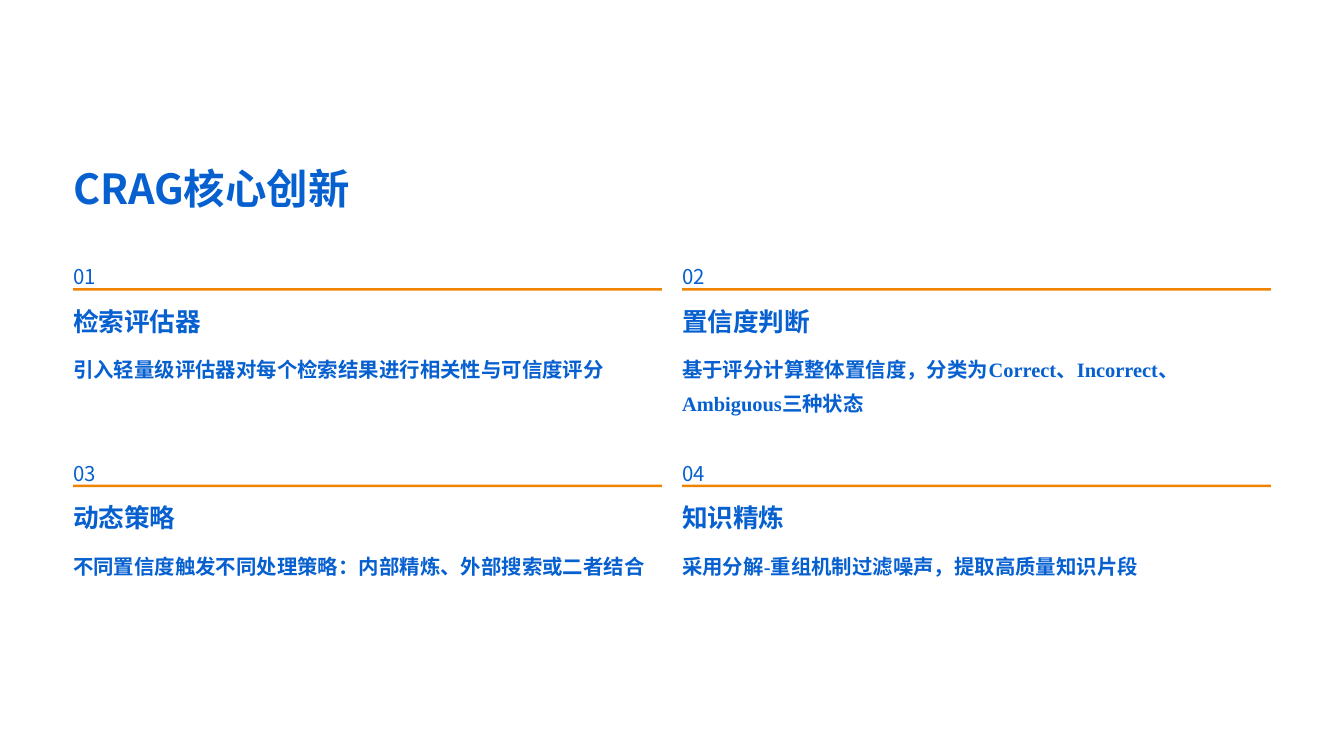
from lxml import etree
from pptx import Presentation
from pptx import util as u
from pptx.dml.color import RGBColor
from pptx.enum import shapes, text
from pptx.oxml import ns

BLUE = RGBColor(0x06, 0x60, 0xD0)
ORANGE = RGBColor(0xF0, 0x83, 0x00)
WHITE = RGBColor(0xFF, 0xFF, 0xFF)
SANS = "Noto Sans CJK SC"
SERIF = "Times New Roman"

POINTS = [
    ("检索评估器", "引入轻量级评估器对每个检索结果进行相关性与可信度评分"),
    ("置信度判断", "基于评分计算整体置信度，分类为Correct、Incorrect、Ambiguous三种状态"),
    ("动态策略", "不同置信度触发不同处理策略：内部精炼、外部搜索或二者结合"),
    ("知识精炼", "采用分解-重组机制过滤噪声，提取高质量知识片段"),
]
LEFT, TOP = 0.87, 3.04
COL, ROW = 7.25, 2.34
WIDTH = 7.01


class Page:
    """Holds the slide and its text style."""

    def __init__(self, slide):
        self.slide = slide

    def label(self, words, x, y, w, h, size, lead, bold=True, face=SANS, wrap=False):
        box = self.slide.shapes.add_textbox(*map(u.Inches, (x, y, w, h)))
        frame = box.text_frame
        frame.margin_left = frame.margin_right = 0
        frame.margin_top = frame.margin_bottom = 0
        frame.word_wrap = wrap
        para = frame.paragraphs[0]
        para.text = words
        para.alignment = text.PP_ALIGN.LEFT
        para.line_spacing = u.Pt(lead)
        font = para.font
        font.size, font.bold, font.name = u.Pt(size), bold, face
        font.color.rgb = BLUE
        # East Asian face for the Chinese characters
        latin = para._p.pPr.find(".//" + ns.qn("a:latin"))
        asian = etree.Element(ns.qn("a:ea"), typeface=SANS)
        latin.addnext(asian)

    def block(self, x, y, w, h, fill):
        block = self.slide.shapes.add_shape(
            shapes.MSO_SHAPE.RECTANGLE, *map(u.Inches, (x, y, w, h)))
        block.shadow.inherit = False
        block.fill.solid()
        block.fill.fore_color.rgb = fill
        block.line.fill.background()

    def point(self, index, head, body):
        row, col = divmod(index, 2)
        x, y = LEFT + col * COL, TOP + row * ROW
        self.label(f"{index + 1:02d}", x, y, 0.32, 0.31, 17.5, 28.5, bold=False)
        self.block(x, y + 0.39, WIDTH, 0.03, ORANGE)
        self.label(head, x, y + 0.58, 3.1, 0.39, 22, 27.5)
        self.label(body, x, y + 1.11, WIDTH, 0.79, 17.5, 28.5, face=SERIF, wrap=True)


def main():
    deck = Presentation()
    deck.slide_width, deck.slide_height = u.Inches(16), u.Inches(9)
    page = Page(deck.slides.add_slide(deck.slide_layouts[6]))

    # White ground
    page.block(0, 0, 16, 9, WHITE)

    # Title
    page.label("CRAG核心创新", LEFT, 1.92, 4.96, 0.62, 35.5, 44.5)

    # Four points in a grid of two by two
    for index, (head, body) in enumerate(POINTS):
        page.point(index, head, body)

    deck.save("out.pptx")


if __name__ == "__main__":
    main()
